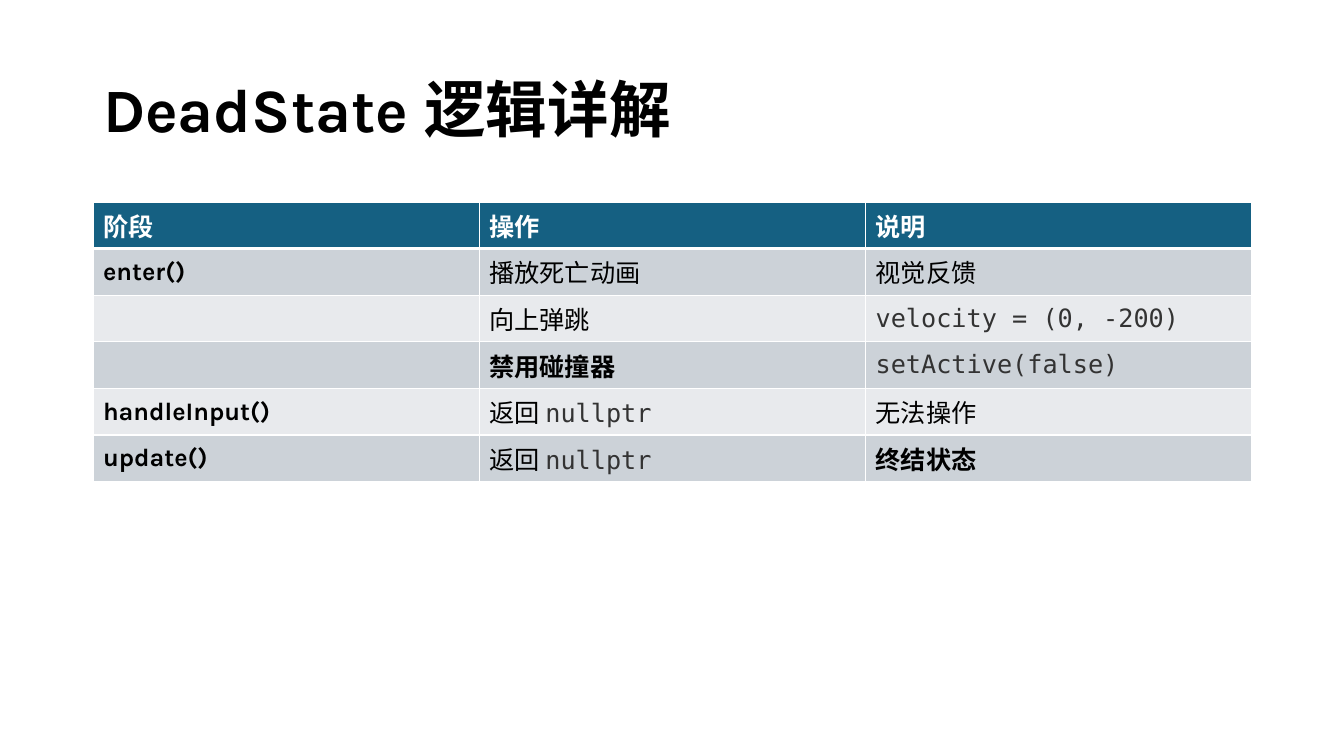
from lxml import etree
from pptx import Presentation
from pptx import util as u
from pptx.dml.color import RGBColor
from pptx.enum import text
from pptx.oxml import ns

TITLE = "DeadState 逻辑详解"
ROWS = [
    [[("阶段", "head")], [("操作", "head")], [("说明", "head")]],
    [[("enter()", "bold")], [("播放死亡动画", "body")], [("视觉反馈", "body")]],
    [[], [("向上弹跳", "body")], [("velocity = (0, -200)", "code")]],
    [[], [("禁用碰撞器", "bold")], [("setActive(false)", "code")]],
    [[("handleInput()", "bold")], [("返回 ", "body"), ("nullptr", "code")],
     [("无法操作", "body")]],
    [[("update()", "bold")], [("返回 ", "body"), ("nullptr", "code")],
     [("终结状态", "bold")]],
]

THEME = {
    "fill": {"head": "156082", "odd": "CCD2D8", "even": "E8EAED"},
    "line": {"color": "FFFFFF", "thin": 1, "thick": 3},
    "font": {
        "title": {"name": "Karla", "size": u.Pt(44), "bold": True, "color": "000000"},
        "head": {"name": "Karla", "size": u.Pt(18), "bold": True, "color": "FFFFFF"},
        "bold": {"name": "Karla", "size": u.Pt(18), "bold": True, "color": "000000"},
        "body": {"name": "Karla", "size": u.Pt(18), "bold": False, "color": "000000"},
        "code": {"name": "DejaVu Sans Mono", "size": u.Pt(18), "bold": False,
                 "color": "333333"},
    },
}

SCALE = 914400 / 100.8
PAGE = (1344, 756)
LEFT, WIDTH = 93, 1159
HEAD_TOP, HEAD_HIGH = 40, 146
GRID_TOP, ROW_HIGH = 202, 41


def px(n):
    return u.Emu(round(n * SCALE))


def apply(obj, vals):
    for key, val in vals.items():
        setattr(obj, key, val)


def write(para, words, style):
    run = para.add_run()
    run.text = words
    for key, val in THEME["font"][style].items():
        if key == "color":
            run.font.color.rgb = RGBColor.from_string(val)
        else:
            setattr(run.font, key, val)


def border(cell, row):
    line = THEME["line"]
    thick = {0: "B", 1: "T"}.get(row)
    props = cell._tc.get_or_add_tcPr()
    for side in "LRTB":
        size = line["thick" if side == thick else "thin"]
        edge = etree.SubElement(props, ns.qn("a:ln" + side), w=str(u.Pt(size)))
        fill = etree.SubElement(edge, ns.qn("a:solidFill"))
        etree.SubElement(fill, ns.qn("a:srgbClr"), val=line["color"])


def add_title(slide):
    title = slide.shapes.title
    apply(title, {"left": px(LEFT), "top": px(HEAD_TOP),
                  "width": px(WIDTH), "height": px(HEAD_HIGH)})
    apply(title.text_frame, {"word_wrap": True,
                             "auto_size": text.MSO_AUTO_SIZE.NONE,
                             "vertical_anchor": text.MSO_ANCHOR.MIDDLE})
    para = title.text_frame.paragraphs[0]
    apply(para, {"alignment": text.PP_ALIGN.LEFT, "line_spacing": 0.9})
    write(para, TITLE, "title")


def add_grid(slide):
    count, cols = len(ROWS), len(ROWS[0])
    grid = slide.shapes.add_table(count, cols, px(LEFT), px(GRID_TOP),
                                  px(WIDTH), px(ROW_HIGH * count)).table
    apply(grid, {"first_row": False, "horz_banding": False})
    for r, row in enumerate(ROWS):
        band = "head" if r == 0 else "odd" if r % 2 else "even"
        for c, runs in enumerate(row):
            cell = grid.cell(r, c)
            border(cell, r)
            cell.vertical_anchor = text.MSO_ANCHOR.MIDDLE
            cell.fill.solid()
            cell.fill.fore_color.rgb = RGBColor.from_string(THEME["fill"][band])
            para = cell.text_frame.paragraphs[0]
            for words, style in runs:
                write(para, words, style)


def main():
    deck = Presentation()
    apply(deck, {"slide_width": px(PAGE[0]), "slide_height": px(PAGE[1])})
    slide = deck.slides.add_slide(deck.slide_layouts[5])
    add_title(slide)
    add_grid(slide)
    deck.save("out.pptx")


if __name__ == "__main__":
    main()
